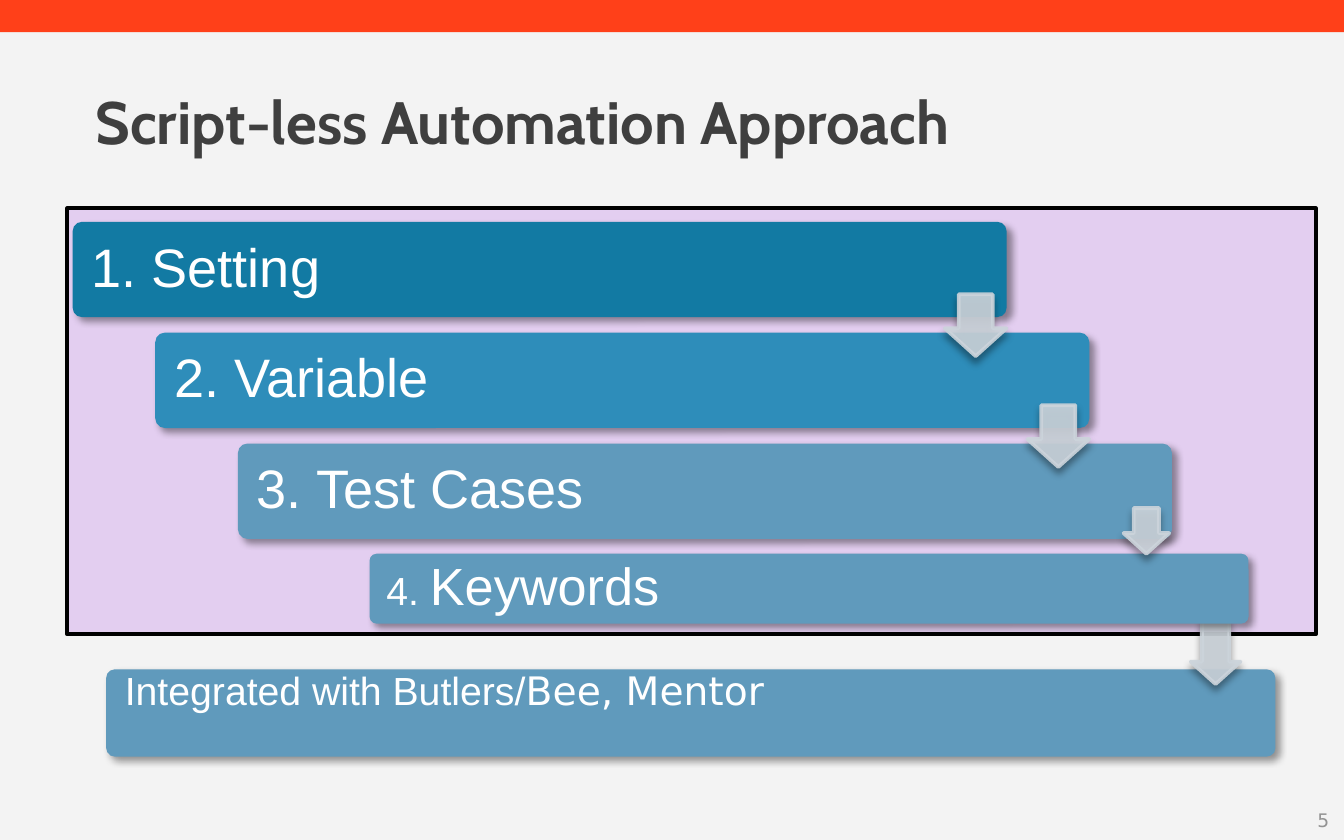
from lxml import etree
from pptx import Presentation
from pptx.dml.color import RGBColor
from pptx.enum.shapes import MSO_SHAPE
from pptx.enum.text import MSO_ANCHOR, PP_ALIGN
from pptx.oxml.ns import qn
from pptx.util import Inches, Pt

RECT, ROUND, DOWN = MSO_SHAPE.RECTANGLE, MSO_SHAPE.ROUNDED_RECTANGLE, MSO_SHAPE.DOWN_ARROW
TOP, MIDDLE = MSO_ANCHOR.TOP, MSO_ANCHOR.MIDDLE
LEFT, RIGHT = PP_ALIGN.LEFT, PP_ALIGN.RIGHT
WHITE, BLUE, GREY = "FFFFFF", "609ABC", "CCD4DB"


def paint(color, value):
    color.rgb = RGBColor.from_string(value)


def place(shape, box):
    shape.left, shape.top, shape.width, shape.height = map(Inches, box)


def add_shape(slide, kind, box, fill, line=None):
    shape = slide.shapes.add_shape(kind, *map(Inches, box))
    shape.fill.solid()
    paint(shape.fill.fore_color, fill)
    if line:
        paint(shape.line.color, line)
        shape.line.width = Pt(2)
    else:
        shape.line.fill.background()
    shape.shadow.inherit = False
    return shape


def add_child(parent, tag, **attrs):
    return etree.SubElement(parent, qn(tag), {k: str(v) for k, v in attrs.items()})


def cast_shadow(shape, angle):
    effects = shape._element.spPr.find(qn("a:effectLst"))
    shadow = add_child(effects, "a:outerShdw", blurRad=Pt(4), dist=Pt(3),
                       dir=angle * 60000, algn="ctr", rotWithShape=0)
    black = add_child(shadow, "a:srgbClr", val="000000")
    add_child(black, "a:alpha", val=40000)


def write(shape, parts, inset=0, anchor=MIDDLE, align=LEFT):
    """Fill one paragraph with (text, size, font, colour, bold) parts."""
    frame = shape.text_frame
    frame.word_wrap = True
    frame.vertical_anchor = anchor
    frame.margin_left = frame.margin_right = Inches(inset)
    frame.margin_top = frame.margin_bottom = 0
    para = frame.paragraphs[0]
    para.alignment = align
    for text, size, font, color, bold in parts:
        run = para.add_run()
        run.text = text
        run.font.size = Pt(size)
        run.font.name = font
        run.font.bold = bold
        paint(run.font.color, color)
    return para


def add_bar(slide, box, fill, parts, inset=0.12, anchor=MIDDLE):
    bar = add_shape(slide, ROUND, box, fill)
    bar.adjustments[0] = 0.1
    cast_shadow(bar, 45)
    runs = [(text, size, font, WHITE, False) for text, size, font in parts]
    write(bar, runs, inset, anchor).line_spacing = 0.9


def add_arrow(slide, box):
    arrow = add_shape(slide, DOWN, box, GREY, GREY)
    arrow.adjustments[0] = 0.55
    arrow.adjustments[1] = 0.45
    for color in arrow._element.spPr.iter(qn("a:srgbClr")):
        add_child(color, "a:alpha", val=90000)
    cast_shadow(arrow, 90)


def add_frame(slide):
    slide.background.fill.solid()
    paint(slide.background.fill.fore_color, "F3F3F3")
    add_shape(slide, RECT, (0, 0, 10, 0.24), "FF4019")
    title = slide.shapes.title
    place(title, (0.71, 0.63, 6.81, 0.54))
    write(title, [("Script-less Automation Approach", 32, "Cabin", "3F3F3F", True)], anchor=TOP)
    number = slide.shapes.add_textbox(*map(Inches, (7.17, 5.96, 2.72, 0.29)))
    write(number, [("5", 10, "DejaVu Sans", "939393", False)], align=RIGHT)


def add_steps(slide):
    add_shape(slide, RECT, (0.5, 1.55, 9.29, 3.17), "E3CEF0", "000000")
    steps = [("1. Setting", "127AA3"), ("2. Variable", "2E8DBA"), ("3. Test Cases", BLUE)]
    right, down = 0.615, 0.825
    for i, (text, fill) in enumerate(steps):
        box = (0.54 + i * right, 1.65 + i * down, 6.95, 0.71)
        add_bar(slide, box, fill, [(text, 29, "Arial")])
    for i in range(len(steps) - 1):
        add_arrow(slide, (7.03 + i * right, 2.19 + i * down, 0.46, 0.46))


def add_tail(slide):
    add_bar(slide, (0.79, 4.98, 8.7, 0.65), BLUE,
            [("Integrated with Butlers/", 21, "Arial"), ("Bee, Mentor", 21, "DejaVu Sans")],
            anchor=TOP)
    add_arrow(slide, (8.86, 4.61, 0.37, 0.48))
    add_bar(slide, (2.75, 4.12, 6.54, 0.52), BLUE,
            [("4. ", 21, "Arial"), ("Keywords", 28, "Arial")], inset=0.11)
    add_arrow(slide, (8.36, 3.78, 0.34, 0.34))


def main():
    deck = Presentation()
    deck.slide_width, deck.slide_height = Inches(10), Inches(6.25)
    slide = deck.slides.add_slide(deck.slide_layouts[5])
    add_frame(slide)
    add_steps(slide)
    add_tail(slide)
    deck.save("out.pptx")


if __name__ == "__main__":
    main()
